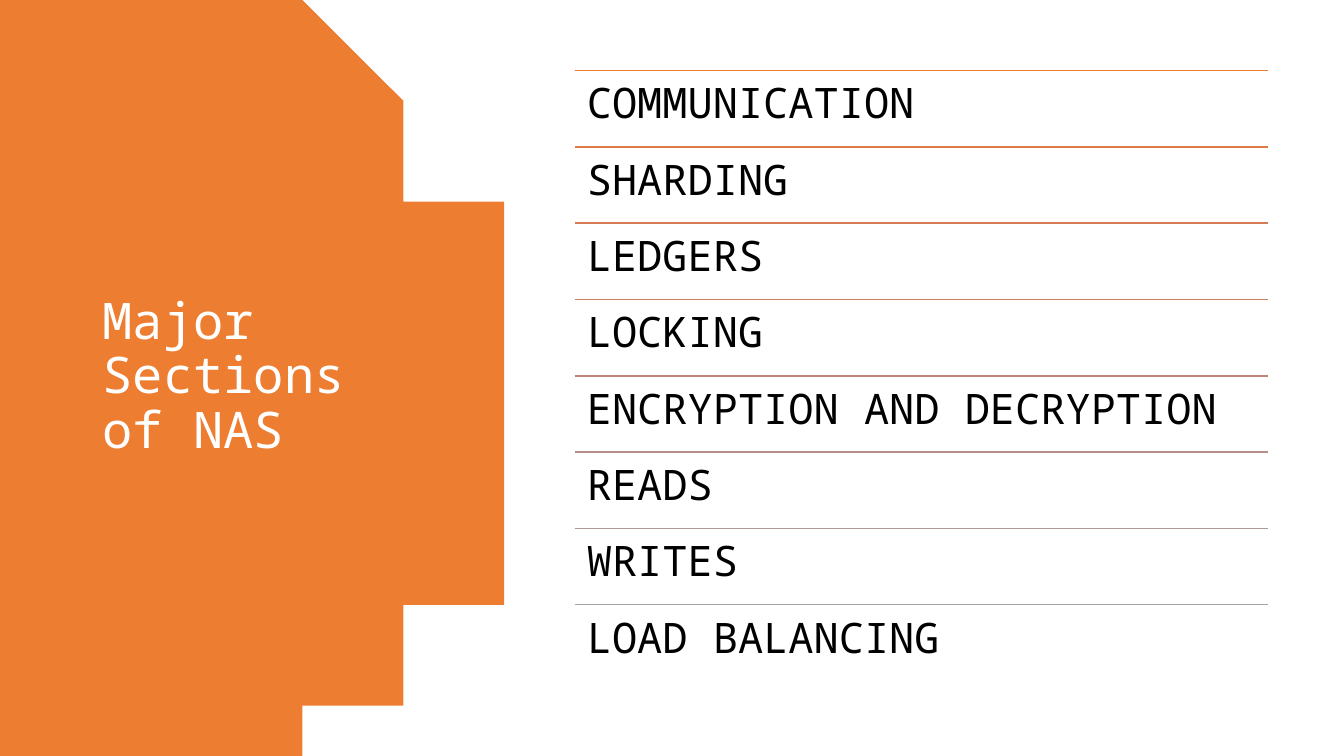
import math
from dataclasses import dataclass

from pptx import Presentation, util as u
from pptx.dml.color import RGBColor
from pptx.enum import shapes, text
from pptx.oxml import parse_xml
from pptx.oxml.ns import nsdecls

WIDTH, HEIGHT = 13.33, 7.5
FONT = "Noto Sans Mono"
COLORS = {"panel": "ED7D31", "title": "FFFFFF", "section": "000000"}

# Section grid: one column of equal rows
COLUMN_LEFT, COLUMN_WIDTH = 5.7, 6.88
FIRST_ROW, ROW_HEIGHT = 0.7, 5.3 / 7

# Panel edge: circle centred at mid height
RADIUS, EDGE_RIGHT, ARC_STEPS = 4.4, 4.93, 120


@dataclass(frozen=True)
class Section:
    label: str
    rule_color: str


SECTIONS = [
    Section("COMMUNICATION", "ED7D31"),
    Section("SHARDING", "E07A44"),
    Section("LEDGERS", "D57B56"),
    Section("LOCKING", "CA7E67"),
    Section("ENCRYPTION AND DECRYPTION", "BF8478"),
    Section("READS", "B68D88"),
    Section("WRITES", "AD9897"),
    Section("LOAD BALANCING", "A5A5A5"),
]


def draw_panel(slide) -> None:
    center_x, center_y = EDGE_RIGHT - RADIUS, HEIGHT / 2
    sweep = math.asin(center_y / RADIUS)
    angles = [sweep * (2 * step / ARC_STEPS - 1) for step in range(ARC_STEPS + 1)]
    edge = [(center_x + RADIUS * math.cos(a), center_y + RADIUS * math.sin(a))
            for a in angles]
    outline = slide.shapes.build_freeform(0, 0, scale=u.Inches(1))
    outline.add_line_segments(edge + [(0, HEIGHT)], close=True)
    panel = outline.convert_to_shape()
    panel.shadow.inherit = False
    panel.fill.solid()
    panel.fill.fore_color.rgb = RGBColor.from_string(COLORS["panel"])
    panel.line.fill.background()


def draw_text(slide, words: str, left: float, top: float, width: float,
              height: float, size: int, color: str):
    box = slide.shapes.add_textbox(*map(u.Inches, (left, top, width, height)))
    frame = box.text_frame
    frame.word_wrap = True
    paragraph = frame.paragraphs[0]
    paragraph.text = words
    paragraph.line_spacing = 0.9
    paragraph.font.name = FONT
    paragraph.font.size = u.Pt(size)
    paragraph.font.color.rgb = RGBColor.from_string(color)
    return frame


def draw_section(slide, row: int, section: Section) -> None:
    top = FIRST_ROW + row * ROW_HEIGHT
    rule = slide.shapes.add_connector(
        shapes.MSO_CONNECTOR.STRAIGHT,
        *map(u.Inches, (COLUMN_LEFT, top, COLUMN_LEFT + COLUMN_WIDTH, top)))
    rule.line.color.rgb = RGBColor.from_string(section.rule_color)
    rule.line.width = u.Pt(1)
    rule._element.spPr.append(parse_xml(f"<a:effectLst {nsdecls('a')}/>"))

    label = draw_text(slide, section.label, COLUMN_LEFT, top, COLUMN_WIDTH,
                      ROW_HEIGHT, 30, COLORS["section"])
    label.margin_left = label.margin_right = u.Inches(0.12)
    label.margin_top = label.margin_bottom = u.Inches(0.12)


def main() -> None:
    deck = Presentation()
    deck.slide_width, deck.slide_height = u.Inches(WIDTH), u.Inches(HEIGHT)
    slide = deck.slides.add_slide(deck.slide_layouts[6])

    # Title on the rounded panel
    draw_panel(slide)
    title = draw_text(slide, "Major Sections of NAS", 0.92, 0.7, 3.23, 6.09,
                      36, COLORS["title"])
    title.vertical_anchor = text.MSO_ANCHOR.MIDDLE

    # Ruled list of sections
    for row, section in enumerate(SECTIONS):
        draw_section(slide, row, section)

    deck.save("out.pptx")


if __name__ == "__main__":
    main()
